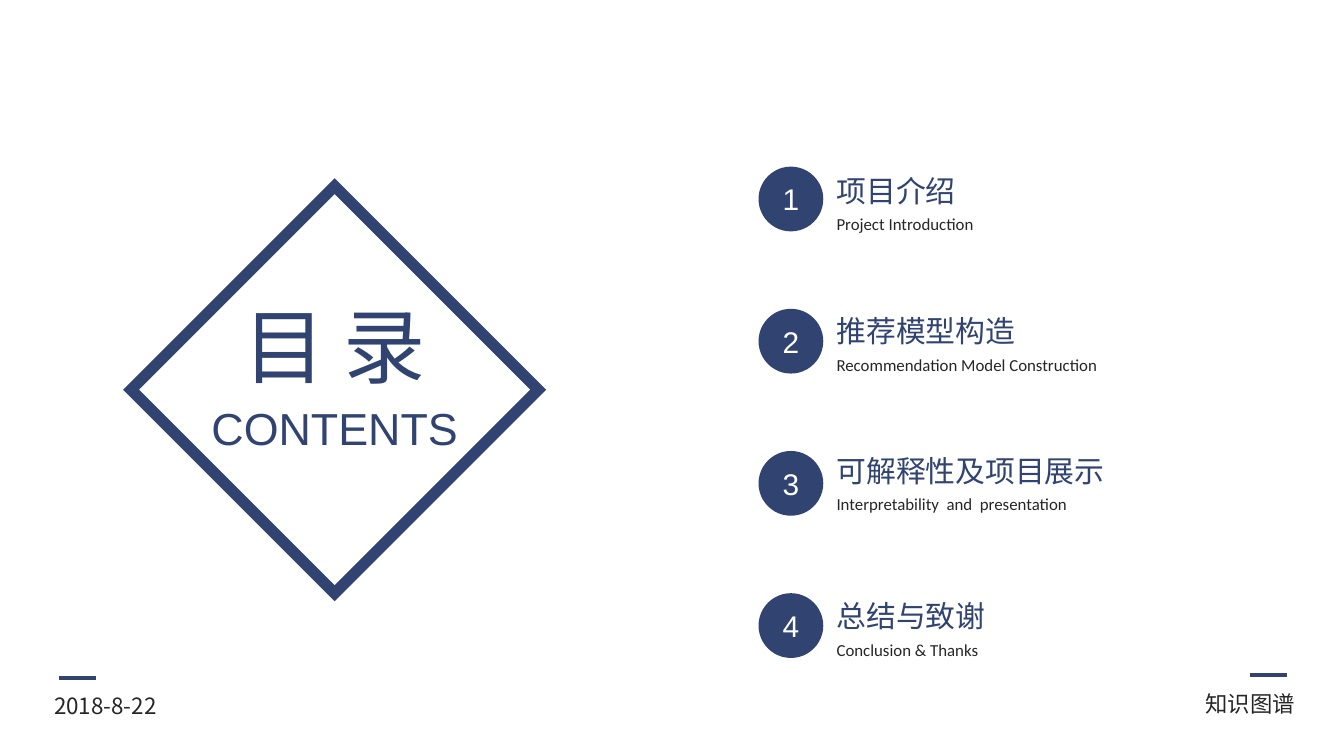
from dataclasses import dataclass

from pptx import Presentation
from pptx.dml.color import RGBColor
from pptx.enum.shapes import MSO_CONNECTOR, MSO_SHAPE
from pptx.enum.text import MSO_ANCHOR, MSO_AUTO_SIZE, PP_ALIGN
from pptx.oxml.ns import qn
from pptx.util import Inches, Pt
from lxml.etree import SubElement


@dataclass(frozen=True)
class Theme:
    navy: RGBColor = RGBColor(0x30, 0x43, 0x71)
    ink: RGBColor = RGBColor(0x26, 0x26, 0x26)
    white: RGBColor = RGBColor(0xFF, 0xFF, 0xFF)
    chinese: str = "Noto Sans CJK SC"
    latin: str = "Arial"
    caption: str = "Calibri"
    title_size: int = 44
    subtitle_size: int = 24
    heading_size: int = 16
    footer_size: int = 12
    caption_size: int = 9
    frame_width: float = 6
    dash_width: float = 2.25


THEME = Theme()
COLUMNS, ROWS = 100, 56.25
CELL = Inches(0.1)

BADGE_LEFT, BADGE_TOP, BADGE_SIZE, BADGE_STEP = 56.44, 12.4, 4.82, 10.58
TEXT_LEFT, HEADING_HEIGHT, CAPTION_OFFSET, CAPTION_HEIGHT = 61.26, 3.7, 3.08, 2.5

ENTRIES = [
    (12.34, "项目介绍", 11, "Project Introduction", 12.6),
    (22.8, "推荐模型构造", 15.5, "Recommendation Model Construction", 21.5),
    (33.16, "可解释性及项目展示", 22.2, "Interpretability  and  presentation", 19.2),
    (44, "总结与致谢", 13.2, "Conclusion & Thanks", 12.5),
]


def cells(*counts):
    return [round(count * CELL) for count in counts]


def write(frame, text, size, font, color, align):
    paragraph = frame.paragraphs[0]
    paragraph.text = text
    paragraph.alignment = align
    paragraph.font.size = Pt(size)
    paragraph.font.color.rgb = color
    paragraph.font.name = font
    defaults = paragraph._p.pPr.find(qn("a:defRPr"))
    SubElement(defaults, qn("a:ea")).set("typeface", font)


def add_text(page, area, text, size, font, color, align=PP_ALIGN.LEFT):
    frame = page.shapes.add_textbox(*cells(*area)).text_frame
    frame.word_wrap = False
    frame.auto_size = MSO_AUTO_SIZE.SHAPE_TO_FIT_TEXT
    write(frame, text, size, font, color, align)


def add_dash(page, left, right, row):
    dash = page.shapes.add_connector(
        MSO_CONNECTOR.STRAIGHT, *cells(left, row, right, row))
    dash.line.color.rgb = THEME.navy
    dash.line.width = Pt(THEME.dash_width)
    SubElement(dash._element.spPr, qn("a:effectLst"))


def add_diamond(page, area):
    diamond = page.shapes.add_shape(MSO_SHAPE.DIAMOND, *cells(*area))
    diamond.shadow.inherit = False
    diamond.fill.background()
    diamond.line.color.rgb = THEME.navy
    diamond.line.width = Pt(THEME.frame_width)
    outline = diamond._element.spPr.find(qn("a:ln"))
    SubElement(outline, qn("a:miter")).set("lim", "800000")


def add_badge(page, number):
    top = BADGE_TOP + (number - 1) * BADGE_STEP
    badge = page.shapes.add_shape(
        MSO_SHAPE.OVAL, *cells(BADGE_LEFT, top, BADGE_SIZE, BADGE_SIZE))
    badge.shadow.inherit = False
    badge.fill.solid()
    badge.fill.fore_color.rgb = THEME.navy
    badge.line.fill.background()
    badge.text_frame.vertical_anchor = MSO_ANCHOR.MIDDLE
    write(badge.text_frame, str(number), THEME.heading_size, THEME.latin,
          THEME.white, PP_ALIGN.CENTER)


def add_entry(page, number, top, heading, heading_width, caption, caption_width):
    add_badge(page, number)
    add_text(page, (TEXT_LEFT, top, heading_width, HEADING_HEIGHT), heading,
             THEME.heading_size, THEME.chinese, THEME.navy)
    add_text(page, (TEXT_LEFT, top + CAPTION_OFFSET, caption_width, CAPTION_HEIGHT),
             caption, THEME.caption_size, THEME.caption, THEME.ink)


def add_title(page):
    add_diamond(page, (9.75, 13.85, 30.3, 30.3))
    add_text(page, (16.8, 21.5, 16.2, 8.4), "目 录", THEME.title_size,
             THEME.chinese, THEME.navy, PP_ALIGN.CENTER)
    add_text(page, (14.65, 29.3, 20.5, 5), "CONTENTS", THEME.subtitle_size,
             THEME.latin, THEME.navy, PP_ALIGN.CENTER)


def add_footer(page):
    add_dash(page, 4.4, 7.15, 50.44)
    add_text(page, (3.04, 51, 10.4, 3), "2018-8-22", THEME.footer_size,
             THEME.chinese, THEME.ink)
    add_dash(page, 93, 95.75, 50.24)
    add_text(page, (88.55, 50.84, 8.8, 3), "知识图谱", THEME.footer_size,
             THEME.chinese, THEME.ink, PP_ALIGN.RIGHT)


def main():
    deck = Presentation()
    deck.slide_width, deck.slide_height = cells(COLUMNS, ROWS)
    page = deck.slides.add_slide(deck.slide_layouts[6])
    add_title(page)
    for number, entry in enumerate(ENTRIES, start=1):
        add_entry(page, number, *entry)
    add_footer(page)
    deck.save("out.pptx")


if __name__ == "__main__":
    main()
